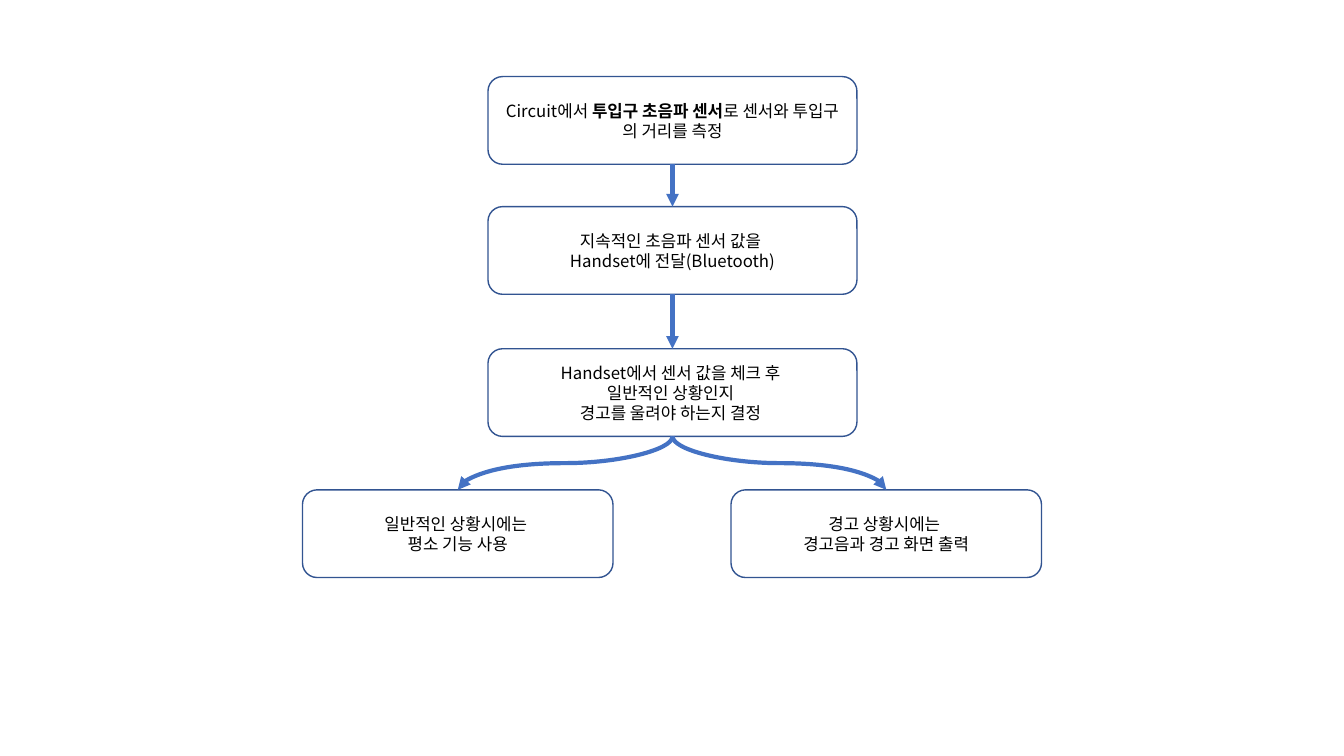
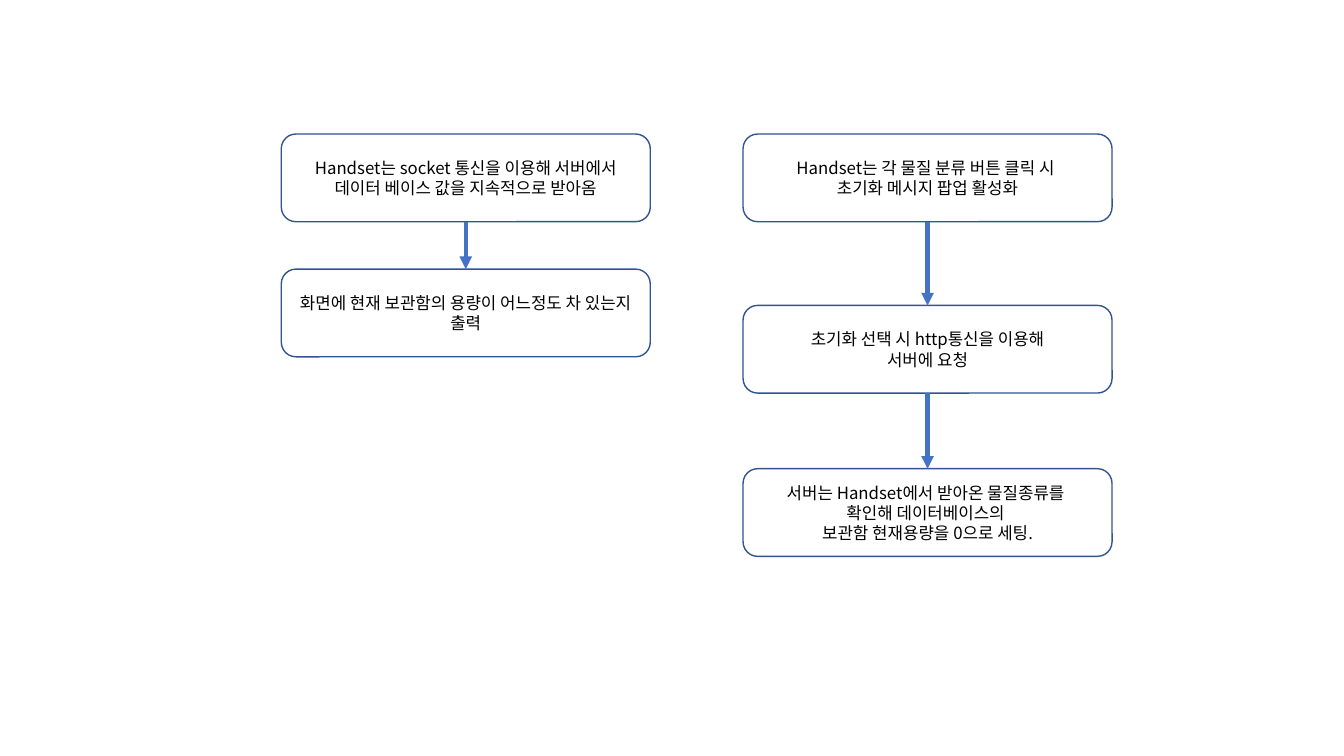
import pptx
import pptx.util
import pptx.dml.color
import pptx.enum.shapes
import pptx.enum.text
import pptx.oxml
import pptx.oxml.ns

Inches, Pt = pptx.util.Inches, pptx.util.Pt
qn = pptx.oxml.ns.qn
KIND = pptx.enum.shapes.MSO_CONNECTOR

# Shared look
HUE = {"box": "FFFFFF", "edge": "325491", "arrow": "4472C4", "text": "000000"}
FACE = "Noto Sans CJK KR"
HIGH, WIDE, SLIM = 0.87, 3.66, 3.08
MID, LEFT, RIGHT = 6.67, 4.54, 8.79
WEST, EAST = 4.62, 9.2

# Steps: name -> centre x, top, width, paragraphs (a tuple holds its runs,
# every second one bold); links: from, to
FLOWS = [
    {
        "steps": {
            "sense": (MID, 0.76, WIDE, [
                ("Circuit에서 ", "투입구 초음파 센서",
                 "로 센서와 투입구 의 거리를 측정")]),
            "send": (MID, 2.05, WIDE, [
                "지속적인 초음파 센서 값을 ", "Handset에 전달(Bluetooth)"]),
            "check": (MID, 3.46, WIDE, [
                "Handset에서 센서 값을 체크 후 ", "일반적인 상황인지 ",
                "경고를 울려야 하는지 결정 "]),
            "normal": (LEFT, 4.86, SLIM, [
                "일반적인 상황시에는 ", "평소 기능 사용"]),
            "alert": (RIGHT, 4.86, SLIM, [
                "경고 상황시에는 ", "경고음과 경고 화면 출력"]),
        },
        "links": [("sense", "send"), ("send", "check"),
                  ("check", "alert"), ("check", "normal")],
    },
    {
        "steps": {
            "fetch": (WEST, 1.33, WIDE, [
                "Handset는 socket 통신을 이용해 서버에서 "
                "데이터 베이스 값을 지속적으로 받아옴"]),
            "show": (WEST, 2.67, WIDE, [
                "화면에 현재 보관함의 용량이 어느정도 차 있는지 출력"]),
            "click": (EAST, 1.33, WIDE, [
                "Handset는 각 물질 분류 버튼 클릭 시 ",
                "초기화 메시지 팝업 활성화"]),
            "ask": (EAST, 3.03, WIDE, [
                "초기화 선택 시 http통신을 이용해", "서버에 요청"]),
            "reset": (EAST, 4.65, WIDE, [
                "서버는 Handset에서 받아온 물질종류를 ",
                "확인해 데이터베이스의 ", "보관함 현재용량을 0으로 세팅."]),
        },
        "links": [("fetch", "show"), ("click", "ask"), ("ask", "reset")],
    },
]


def tint(name):
    return pptx.dml.color.RGBColor.from_string(HUE[name])


def style(item, **form):
    for key, value in form.items():
        setattr(item, key, value)


def add_run(para, text, bold):
    run = para.add_run()
    run.text = text
    style(run.font, name=FACE, size=Pt(12), bold=bold)
    run.font.color.rgb = tint("text")
    east = pptx.oxml.parse_xml(
        f'<a:ea {pptx.oxml.ns.nsdecls("a")} typeface="{FACE}"/>')
    run.font._element.find(qn("a:latin")).addnext(east)


def add_step(slide, mid, top, wide, paras):
    box = slide.shapes.add_shape(
        pptx.enum.shapes.MSO_SHAPE.ROUNDED_RECTANGLE,
        Inches(mid - wide / 2), Inches(top), Inches(wide), Inches(HIGH))
    box.shadow.inherit = False
    box.fill.solid()
    box.fill.fore_color.rgb = tint("box")
    box.line.color.rgb = tint("edge")
    box.line.width = Pt(1)
    frame = box.text_frame
    style(frame, word_wrap=True,
          vertical_anchor=pptx.enum.text.MSO_ANCHOR.MIDDLE)
    for i, runs in enumerate(paras):
        para = frame.add_paragraph() if i else frame.paragraphs[0]
        para.alignment = pptx.enum.text.PP_ALIGN.CENTER
        for j, text in enumerate([runs] if isinstance(runs, str) else runs):
            add_run(para, text, j % 2 == 1)
    return box


def bend(line, start, end):
    """Turn a curve so that it leaves and arrives vertically."""
    (x1, y1), (x2, y2) = start, end
    wide, high = y2 - y1, abs(x2 - x1)
    style(line, left=Inches((x1 + x2 - wide) / 2),
          top=Inches((y1 + y2 - high) / 2),
          width=Inches(wide), height=Inches(high))
    frame = line._element.spPr.find(qn("a:xfrm"))
    right = x2 > x1
    for key, value in {"rot": "16200000" if right else "5400000",
                       "flipH": "1" if right else "0",
                       "flipV": "0"}.items():
        frame.set(key, value)


def add_link(slide, steps, boxes, source, target):
    start = steps[source][0], steps[source][1] + HIGH
    end = steps[target][:2]
    curved = start[0] != end[0]
    line = slide.shapes.add_connector(
        KIND.CURVE if curved else KIND.STRAIGHT,
        *(Inches(v) for v in start + end))
    line.begin_connect(boxes[source], 2)
    line.end_connect(boxes[target], 0)
    if curved:
        bend(line, start, end)
    line.line.color.rgb = tint("arrow")
    line.line.width = Pt(3)
    space = pptx.oxml.ns.nsdecls("a")
    line.line._get_or_add_ln().append(
        pptx.oxml.parse_xml(f'<a:tailEnd {space} type="triangle"/>'))
    line._element.spPr.append(
        pptx.oxml.parse_xml(f"<a:effectLst {space}/>"))


def main():
    deck = pptx.Presentation()
    style(deck, slide_width=Inches(13.33), slide_height=Inches(7.5))
    for flow in FLOWS:
        slide = deck.slides.add_slide(deck.slide_layouts[6])
        steps = flow["steps"]
        boxes = {key: add_step(slide, *step) for key, step in steps.items()}
        for source, target in flow["links"]:
            add_link(slide, steps, boxes, source, target)
    deck.save("out.pptx")


if __name__ == "__main__":
    main()
